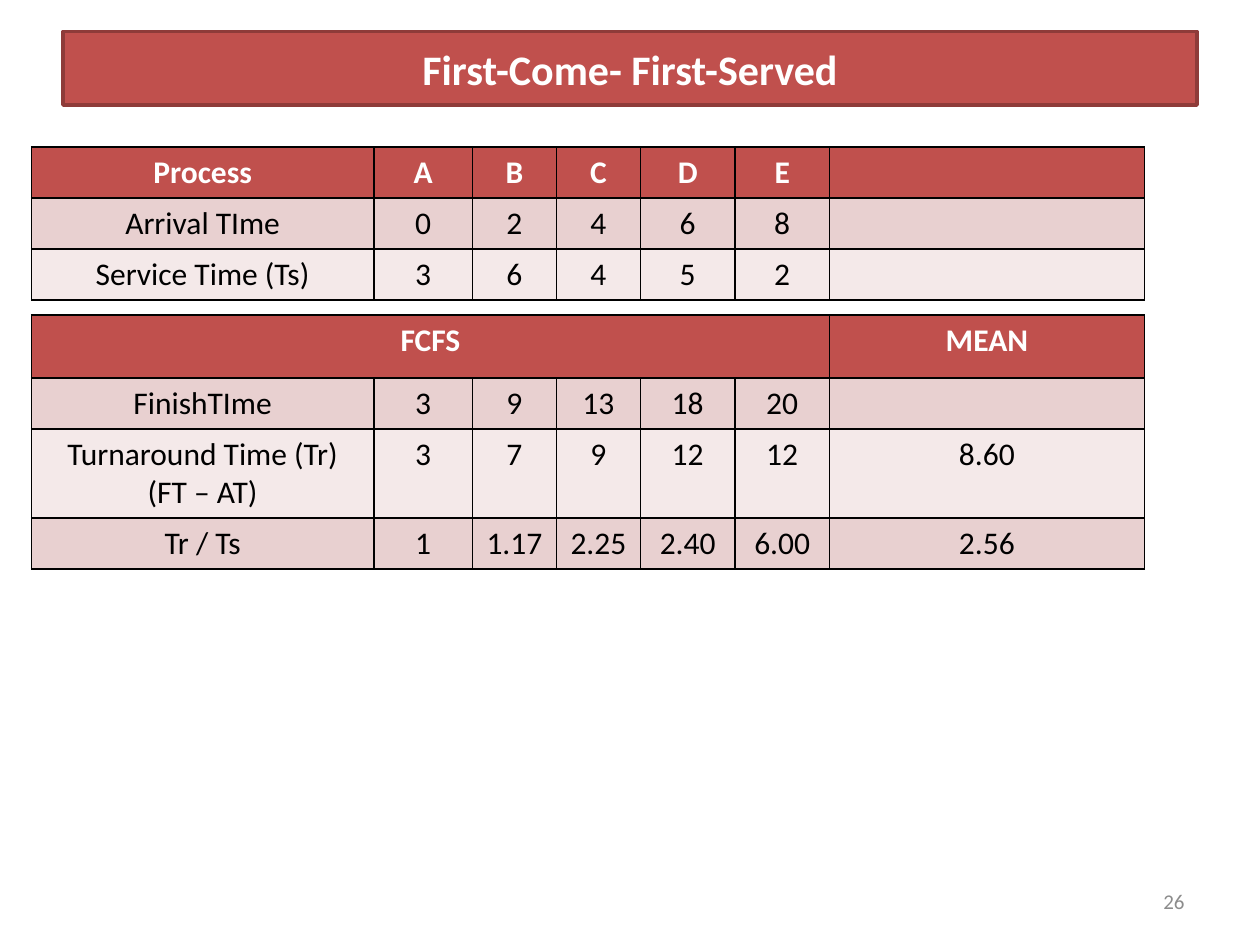
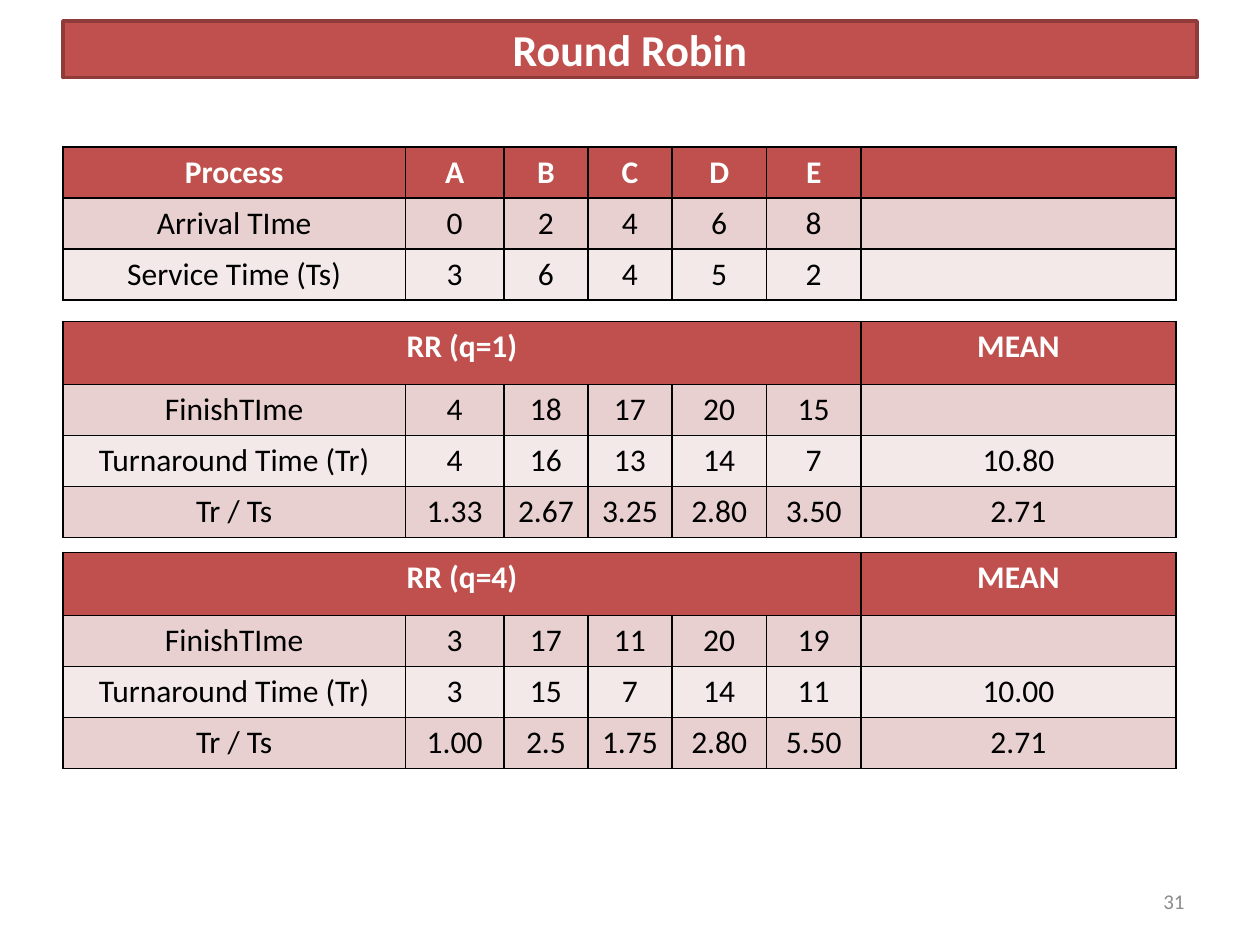
from pptx import Presentation
from pptx.dml.color import RGBColor
from pptx.enum.text import MSO_ANCHOR, MSO_AUTO_SIZE, PP_ALIGN
from pptx.oxml import parse_xml
from pptx.oxml.ns import nsdecls
from pptx.util import Inches, Pt

RED = RGBColor(0xC0, 0x50, 0x4D)
DARK_RED = RGBColor(0x8E, 0x3B, 0x39)
PINK = RGBColor(0xE8, 0xD0, 0xD0)
PALE_PINK = RGBColor(0xF4, 0xE9, 0xE9)
WHITE = RGBColor(0xFF, 0xFF, 0xFF)
BLACK = RGBColor(0, 0, 0)
GREY = RGBColor(0x8C, 0x8C, 0x8C)

FONT = "Calibri"
GRID_COLS, GRID_ROWS = 120, 90
TABLE_COLS = (32.6, 9.4, 8, 8, 9, 9, 30)
ROW_H, TALL_ROW_H, BANNER_H = 4.86, 8.5, 6
TABLES_TOP = 14

PROCESSES = (
    ("Process", "A", "B", "C", "D", "E", ""),
    ("Arrival TIme", "0", "2", "4", "6", "8", ""),
    ("Service Time (Ts)", "3", "6", "4", "5", "2", ""),
)


def results(name, finish, turnaround, ratio, note=""):
    return (
        (name, "", "", "", "", "", "MEAN"),
        ("FinishTIme", *finish, ""),
        ("Turnaround Time (Tr)" + note, *turnaround),
        ("Tr / Ts", *ratio),
    )


FCFS = results(
    "FCFS",
    ("3", "9", "13", "18", "20"),
    ("3", "7", "9", "12", "12", "8.60"),
    ("1", "1.17", "2.25", "2.40", "6.00", "2.56"),
    note="\n(FT – AT)",
)
RR_Q1 = results(
    "RR (q=1)",
    ("4", "18", "17", "20", "15"),
    ("4", "16", "13", "14", "7", "10.80"),
    ("1.33", "2.67", "3.25", "2.80", "3.50", "2.71"),
)
RR_Q4 = results(
    "RR (q=4)",
    ("3", "17", "11", "20", "19"),
    ("3", "15", "7", "14", "11", "10.00"),
    ("1.00", "2.5", "1.75", "2.80", "5.50", "2.71"),
)


class Deck:
    """Holds the shared style, the grid and the current slide."""

    def __init__(self):
        self.prs = Presentation()
        self.prs.slide_width, self.prs.slide_height = Inches(10), Inches(7.5)
        self.s = None

    def x(self, cols):
        return round(self.prs.slide_width * cols / GRID_COLS)

    def y(self, rows):
        return round(self.prs.slide_height * rows / GRID_ROWS)

    def box(self, left, top, width, height):
        return self.x(left), self.y(top), self.x(width), self.y(height)

    def style(self, tf, size, color, align=PP_ALIGN.CENTER, bold=False):
        for p in tf.paragraphs:
            p.alignment = align
            p.font.name, p.font.size, p.font.bold = FONT, Pt(size), bold
            p.font.color.rgb = color

    def slide(self, title, top, height, size, number):
        self.s = self.prs.slides.add_slide(self.prs.slide_layouts[5])
        self.title(title, top, height, size)
        self.number(number)

    def title(self, text, top, height, size):
        sp = self.s.shapes.title
        sp.left, sp.top, sp.width, sp.height = self.box(6, top, 108, height)
        sp.fill.solid()
        sp.fill.fore_color.rgb = RED
        sp.line.color.rgb, sp.line.width = DARK_RED, Pt(2)
        tf = sp.text_frame
        tf.text = text
        tf.auto_size, tf.vertical_anchor = MSO_AUTO_SIZE.NONE, MSO_ANCHOR.MIDDLE
        tf.margin_top = tf.margin_bottom = 0
        self.style(tf, size, WHITE, bold=True)

    def number(self, text):
        tf = self.s.shapes.add_textbox(*self.box(86, 83.4, 28, 4.8)).text_frame
        tf.text = text
        tf.word_wrap, tf.vertical_anchor = True, MSO_ANCHOR.MIDDLE
        self.style(tf, 12, GREY, PP_ALIGN.RIGHT)

    def table(self, rows, left, top):
        merged = not rows[0][1]
        heights = [TALL_ROW_H if "\n" in row[0] else ROW_H for row in rows]
        if merged:
            heights[0] = BANNER_H
        frame = self.s.shapes.add_table(
            len(rows), len(TABLE_COLS), *self.box(left, top, sum(TABLE_COLS), sum(heights))
        )
        table = frame.table
        for column, width in zip(table.columns, TABLE_COLS):
            column.width = self.x(width)
        for i, (row, height) in enumerate(zip(rows, heights)):
            table.rows[i].height = self.y(height)
            for j, text in enumerate(row):
                self.cell(table.cell(i, j), text, i)
        if merged:
            table.cell(0, 0).merge(table.cell(0, len(TABLE_COLS) - 2))

    def cell(self, cell, text, row):
        header = row == 0
        cell.text = text
        self.style(cell.text_frame, 18, WHITE if header else BLACK, bold=header)
        tc_pr = cell._tc.get_or_add_tcPr()
        for side in "LRTB":
            tc_pr.append(parse_xml(
                f'<a:ln{side} {nsdecls("a")} w="{Pt(1)}"><a:solidFill>'
                f'<a:srgbClr val="{BLACK}"/></a:solidFill></a:ln{side}>'
            ))
        cell.fill.solid()
        cell.fill.fore_color.rgb = RED if header else PINK if row % 2 else PALE_PINK


def main():
    deck = Deck()

    deck.slide("First-Come- First-Served", top=3, height=7, size=24, number="26")
    deck.table(PROCESSES, 3, TABLES_TOP)
    deck.table(FCFS, 3, 30)

    deck.slide("Round Robin", top=2, height=5.4, size=25.2, number="31")
    deck.table(PROCESSES, 6, TABLES_TOP)
    deck.table(RR_Q1, 6, 30.6)
    deck.table(RR_Q4, 6, 52.6)

    deck.prs.save("out.pptx")


if __name__ == "__main__":
    main()
